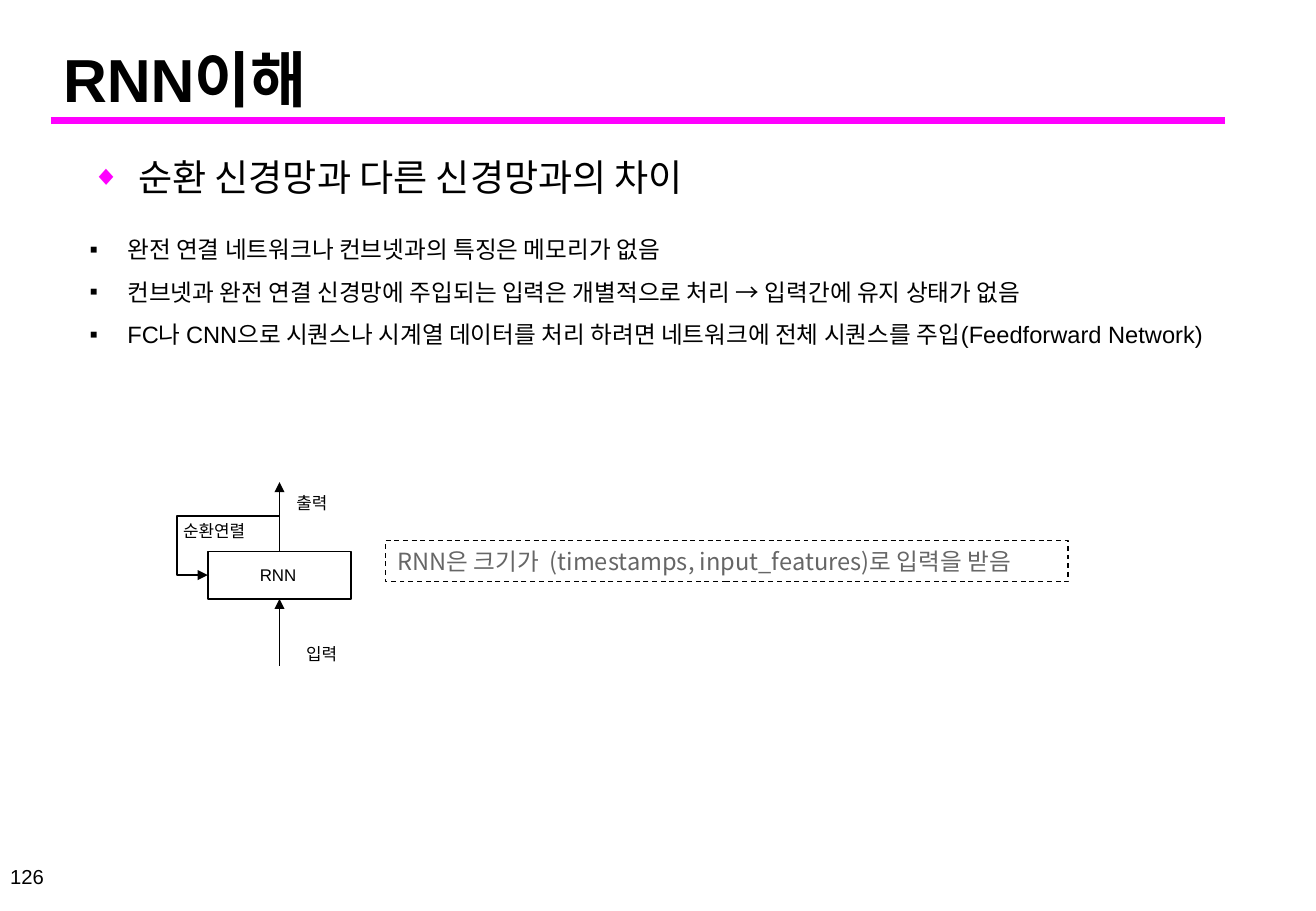
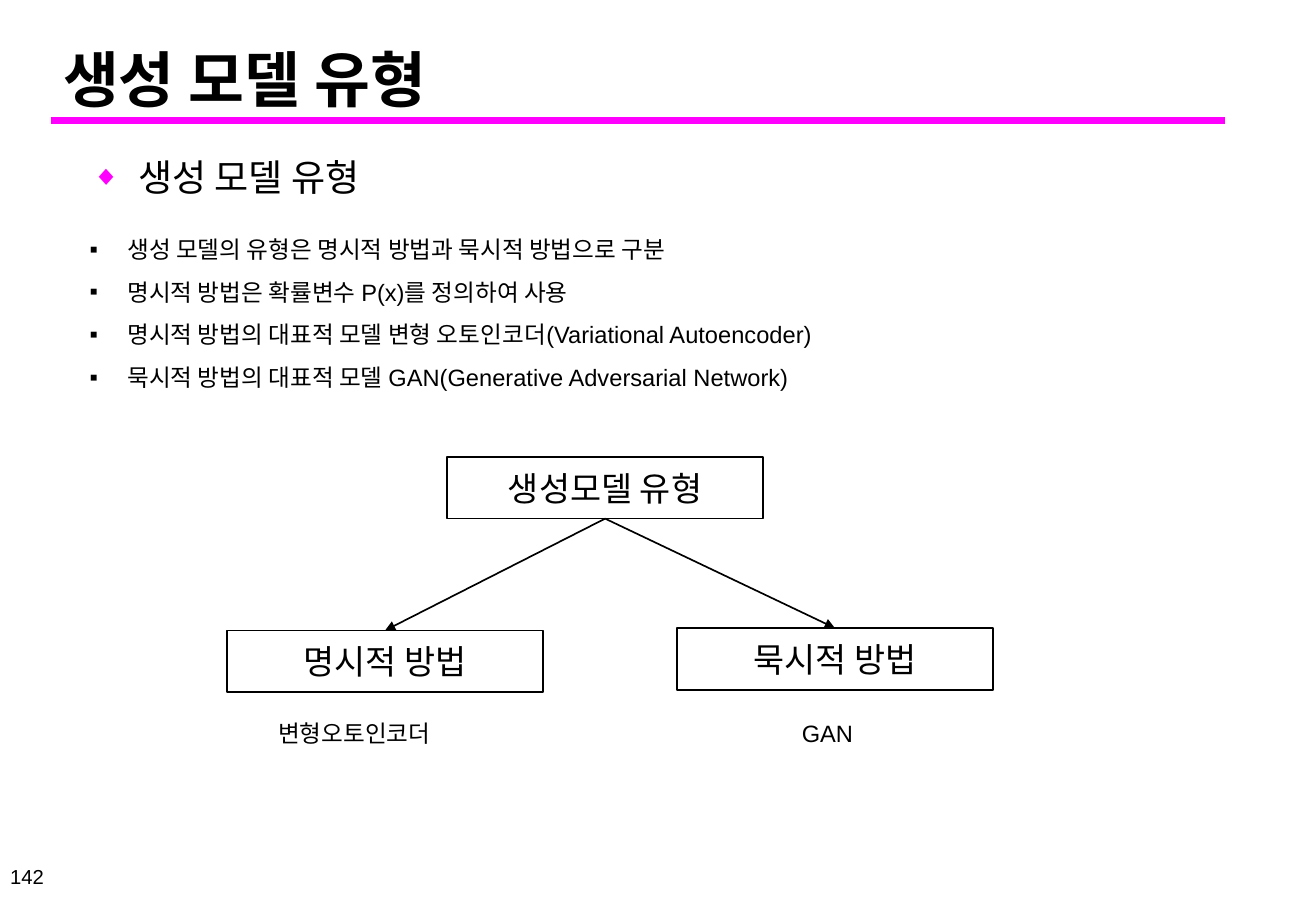
"""Build two lecture slides on recurrent networks and generative models."""
from dataclasses import dataclass, field
from typing import Any, NamedTuple

from lxml import etree
from pptx import Presentation
from pptx.dml.color import RGBColor
from pptx.enum.dml import MSO_LINE
from pptx.enum.shapes import MSO_CONNECTOR, MSO_SHAPE
from pptx.enum.text import MSO_ANCHOR, MSO_AUTO_SIZE, PP_ALIGN
from pptx.oxml.ns import qn
from pptx.util import Inches, Pt

RECTANGLE = MSO_SHAPE.RECTANGLE
STRAIGHT, ELBOW = MSO_CONNECTOR.STRAIGHT, MSO_CONNECTOR.ELBOW
DASH = MSO_LINE.DASH
TOP, MIDDLE, BOTTOM = MSO_ANCHOR.TOP, MSO_ANCHOR.MIDDLE, MSO_ANCHOR.BOTTOM
LEFT, CENTER, RIGHT = PP_ALIGN.LEFT, PP_ALIGN.CENTER, PP_ALIGN.RIGHT
GROW, FIXED = MSO_AUTO_SIZE.SHAPE_TO_FIT_TEXT, MSO_AUTO_SIZE.NONE

CELL = 0.1
COLUMNS, ROWS = 108.3, 75
INK, ACCENT, MUTED = "000000", "FF00FF", "666666"
LATIN, KOREAN = "Arial", "Noto Sans CJK KR"
TOP_SITE, LEFT_SITE, BOTTOM_SITE = 0, 1, 2
SITE_SHARES = {TOP_SITE: (0.5, 0), LEFT_SITE: (0, 0.5), BOTTOM_SITE: (0.5, 1)}


class Area(NamedTuple):
    """A rectangle in grid cells."""
    column: float
    row: float
    width: float
    height: float


class Point(NamedTuple):
    """A free connector end in grid cells."""
    column: float
    row: float


class Joint(NamedTuple):
    """A connector end that sticks to a side of a box."""
    box: Any
    site: int


@dataclass(frozen=True)
class Bullet:
    """A list marker with its hanging indent in cells."""
    char: str
    indent: float
    color: str = INK
    percent: int = 100


@dataclass(frozen=True)
class TextStyle:
    """The look of the text in a box."""
    size: float
    bold: bool = False
    color: str = INK
    latin: str = LATIN
    bullet: Bullet | None = None
    paragraph: dict[str, Any] = field(default_factory=dict)
    frame: dict[str, Any] = field(default_factory=dict)


TITLE = TextStyle(36, bold=True, frame={"vertical_anchor": BOTTOM, "auto_size": FIXED})
PAGE_NUMBER = TextStyle(12, paragraph={"alignment": RIGHT},
                        frame={"vertical_anchor": MIDDLE, "word_wrap": False, "auto_size": FIXED})
HEADING = TextStyle(22, bullet=Bullet("◆", 3.8, ACCENT, 75),
                    paragraph={"line_spacing": 1.2}, frame={"auto_size": FIXED})
POINTS = TextStyle(14, bullet=Bullet("▪", 3.1), paragraph={"line_spacing": 1.5})
SMALL_LABEL = TextStyle(10)
LABEL = TextStyle(14)
NOTE = TextStyle(14, color=MUTED, latin=KOREAN)
NODE = TextStyle(20, paragraph={"alignment": CENTER},
                 frame={"vertical_anchor": MIDDLE, "word_wrap": False, "auto_size": FIXED})


def cells(count: float) -> int:
    """Turn grid cells into a length."""
    return Inches(count * CELL)


def rgb(value: str) -> RGBColor:
    """Turn a hex string into a colour."""
    return RGBColor.from_string(value)


def apply(target: Any, values: dict[str, Any]) -> None:
    """Set each named attribute on the target."""
    for name, value in values.items():
        setattr(target, name, value)


def add_bullet(para: Any, bullet: Bullet) -> None:
    """Give a paragraph its marker and hanging indent."""
    props = para._p.get_or_add_pPr()
    props.set("marL", str(cells(bullet.indent)))
    props.set("indent", str(-cells(bullet.indent)))
    color = etree.SubElement(props, qn("a:buClr"))
    etree.SubElement(color, qn("a:srgbClr"), val=bullet.color)
    etree.SubElement(props, qn("a:buSzPct"), val=str(bullet.percent * 1000))
    etree.SubElement(props, qn("a:buFont"), typeface=LATIN)
    etree.SubElement(props, qn("a:buChar"), char=bullet.char)


def fill_text(box: Any, lines: list[str], style: TextStyle) -> None:
    """Write one paragraph per line in the given style."""
    frame = box.text_frame
    apply(frame, {"word_wrap": True, "vertical_anchor": TOP, "auto_size": GROW} | style.frame)
    for index, line in enumerate(lines):
        para = frame.add_paragraph() if index else frame.paragraphs[0]
        if style.bullet:
            add_bullet(para, style.bullet)
        apply(para, {"alignment": LEFT} | style.paragraph)
        span = para.add_run()
        span.text = line
        apply(span.font, {"size": Pt(style.size), "bold": style.bold, "name": style.latin})
        span.font.color.rgb = rgb(style.color)
        etree.SubElement(span._r.get_or_add_rPr(), qn("a:ea"), typeface=KOREAN)


def add_text(page: Any, area: Area, lines: list[str], style: TextStyle) -> None:
    """Add a text box."""
    box = page.shapes.add_textbox(*map(cells, area))
    fill_text(box, lines, style)


def add_frame(page: Any, area: Area, width: float = 1, dash: Any = None) -> Any:
    """Add an unfilled rectangle with a black outline."""
    box = page.shapes.add_shape(RECTANGLE, *map(cells, area))
    box.shadow.inherit = False
    box.fill.background()
    box.line.color.rgb = rgb(INK)
    apply(box.line, {"width": Pt(width), "dash_style": dash})
    return box


def locate(end: Point | Joint) -> tuple[int, int]:
    """Find the position of a connector end."""
    if isinstance(end, Point):
        return cells(end.column), cells(end.row)
    across, down = SITE_SHARES[end.site]
    box = end.box
    return int(box.left + across * box.width), int(box.top + down * box.height)


def add_line(page: Any, start: Point | Joint, end: Point | Joint, kind: Any = STRAIGHT,
             color: str = INK, width: float = 1, arrow: bool = True) -> Any:
    """Add a connector, joined to boxes where its ends are joints."""
    line = page.shapes.add_connector(kind, *locate(start), *locate(end))
    for point, join in ((start, line.begin_connect), (end, line.end_connect)):
        if isinstance(point, Joint):
            join(point.box, point.site)
    line.line.color.rgb = rgb(color)
    line.line.width = Pt(width)
    props = line.element.spPr
    if arrow:
        etree.SubElement(props.find(qn("a:ln")), qn("a:tailEnd"), type="triangle")
    etree.SubElement(props, qn("a:effectLst"))
    return line


def bend(line: Any, share: float) -> None:
    """Move the middle leg of an elbow to a share of its width."""
    geometry = line.element.spPr.find(qn("a:prstGeom"))
    guides = geometry.find(qn("a:avLst"))
    if guides is None:
        guides = etree.SubElement(geometry, qn("a:avLst"))
    etree.SubElement(guides, qn("a:gd"), name="adj1", fmla=f"val {round(share * 100000)}")


def add_page(deck: Any, number: int, title: str, heading: str, points: list[str]) -> Any:
    """Add a slide with the shared rule, title, number and bullet text."""
    page = deck.slides.add_slide(deck.slide_layouts[6])
    add_line(page, Point(4.2, 9.9), Point(100.8, 9.9), color=ACCENT, width=4, arrow=False)
    add_text(page, Area(4.2, 2.8, 95.8, 7.1), [title], TITLE)
    add_text(page, Area(0, 71.4, 4.6, 1.5), [str(number)], PAGE_NUMBER)
    add_text(page, Area(6.6, 11.5, 94, 5.5), [heading], HEADING)
    add_text(page, Area(6.4, 17.7, 98.3, 14.7), points, POINTS)
    return page


def build_rnn(deck: Any) -> None:
    """Build the slide on recurrent networks."""
    page = add_page(deck, 126, "RNN이해", "순환 신경망과 다른 신경망과의 차이", [
        "완전 연결 네트워크나 컨브넷과의 특징은 메모리가 없음",
        "컨브넷과 완전 연결 신경망에 주입되는 입력은 개별적으로 처리 → 입력간에 유지 상태가 없음",
        "FC나 CNN으로 시퀀스나 시계열 데이터를 처리 하려면 네트워크에 전체 시퀀스를 주입(Feedforward Network)",
    ])
    network = add_frame(page, Area(17.1, 45.4, 11.8, 3.9))
    add_line(page, Point(23, 54.8), Joint(network, BOTTOM_SITE))
    add_line(page, Joint(network, TOP_SITE), Point(23, 39.7))
    loop = add_line(page, Point(23, 42.5), Joint(network, LEFT_SITE), ELBOW)
    bend(loop, 1.43)
    note = add_frame(page, Area(31.7, 44.5, 56.2, 3.4), 0.75, DASH)
    fill_text(note, ["RNN은 크기가  (timestamps, input_features)로 입력을 받음"], NOTE)
    for text, column, row, width in (("입력", 24.2, 52.5, 5.1), ("순환연렬", 14.1, 42.4, 8.7),
                                     ("출력", 23.4, 40.1, 5.1), ("RNN", 20.4, 46, 5.1)):
        add_text(page, Area(column, row, width, 2.7), [text], SMALL_LABEL)


def build_generative(deck: Any) -> None:
    """Build the slide on kinds of generative models."""
    page = add_page(deck, 142, "생성 모델 유형", "생성 모델 유형", [
        "생성 모델의 유형은 명시적 방법과 묵시적 방법으로 구분",
        "명시적 방법은 확률변수 P(x)를 정의하여 사용",
        "명시적 방법의 대표적 모델 변형 오토인코더(Variational Autoencoder)",
        "묵시적 방법의 대표적 모델 GAN(Generative Adversarial Network)",
    ])
    root, *methods = [add_frame(page, Area(column, row, 26, 5.1))
                      for column, row in ((36.8, 37.6), (18.7, 51.9), (55.7, 51.7))]
    for box, text in zip((root, *methods), ("생성모델 유형", "명시적 방법", "묵시적 방법")):
        fill_text(box, [text], NODE)
    for method in methods:
        add_line(page, Joint(root, BOTTOM_SITE), Joint(method, TOP_SITE))
    for text, column, width in (("변형오토인코더", 21.9, 15.7), ("GAN", 65, 7.5)):
        add_text(page, Area(column, 58.7, width, 3.4), [text], LABEL)


def main() -> None:
    """Build and save the deck."""
    deck = Presentation()
    deck.slide_width, deck.slide_height = cells(COLUMNS), cells(ROWS)
    build_rnn(deck)
    build_generative(deck)
    deck.save("out.pptx")


if __name__ == "__main__":
    main()
